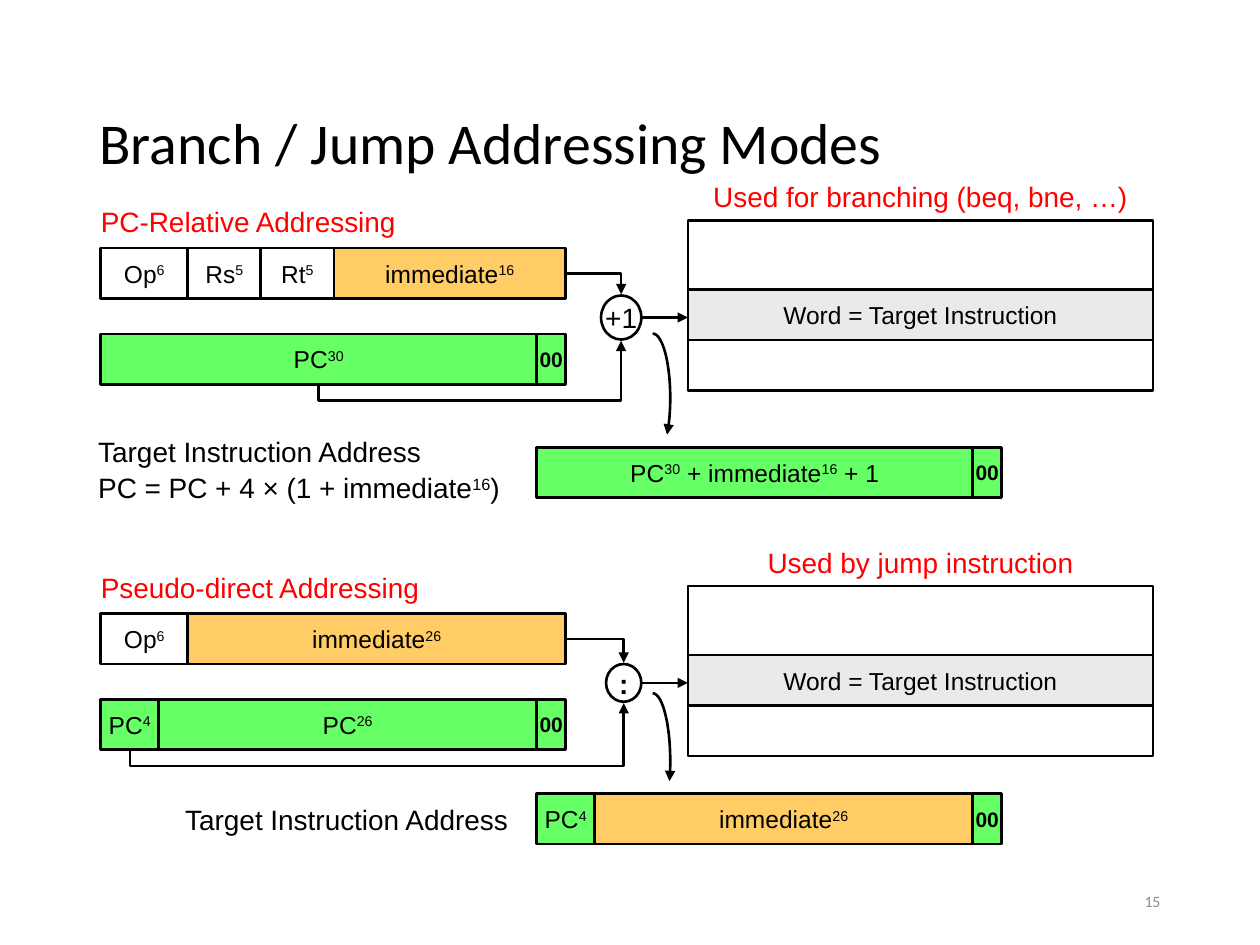
import math
from dataclasses import dataclass

from lxml import etree
from pptx import Presentation
from pptx.dml.color import RGBColor
from pptx.enum.shapes import MSO_CONNECTOR, MSO_SHAPE
from pptx.enum.text import MSO_ANCHOR, PP_ALIGN
from pptx.oxml.ns import qn
from pptx.util import Inches, Pt

RECT, OVAL = MSO_SHAPE.RECTANGLE, MSO_SHAPE.OVAL
STRAIGHT, ELBOW = MSO_CONNECTOR.STRAIGHT, MSO_CONNECTOR.ELBOW
LEFT, CENTER, RIGHT = PP_ALIGN.LEFT, PP_ALIGN.CENTER, PP_ALIGN.RIGHT
MIDDLE = MSO_ANCHOR.MIDDLE

BLACK = RGBColor(0, 0, 0)
WHITE = RGBColor(255, 255, 255)
RED = RGBColor(255, 0, 0)
GREY = RGBColor(0x8C, 0x8C, 0x8C)
PALE = RGBColor(0xEA, 0xEA, 0xEA)
GREEN = RGBColor(0x66, 0xFF, 0x66)
ORANGE = RGBColor(0xFF, 0xCC, 0x66)

BAR_X, TARGET_X, MEMORY_X = 0.8, 4.26, 5.46
BAR_W, BAR_H = 3.69, 0.4
BODY = dict(size=Pt(14), name="Arial", bold=False)
LABEL = dict(size=Pt(16), name="Arial", bold=False)
BITS = dict(size=Pt(12), name="Arial", bold=True)


@dataclass
class Field:
    text: str
    width: float
    fill: RGBColor
    font: dict


@dataclass
class Mode:
    top: float
    name: str
    use: str
    instruction: list[Field]
    counter: list[Field]
    target: list[Field]
    target_y: float
    operator: str
    operator_font: dict
    operator_x: float
    operator_size: tuple[float, float]
    source_x: float
    arc_ry: float
    arc_end: float


ZEROS = Field("00", 0.23, GREEN, BITS)
OP = Field("Op^6", 0.69, WHITE, BODY)
PC4 = Field("PC^4", 0.46, GREEN, BODY)
IMM26 = Field("immediate^26", 3, ORANGE, BODY)

MODES = [
    Mode(1.4, "PC-Relative Addressing", "Used for branching (beq, bne, …)",
         [OP, Field("Rs^5", 0.58, WHITE, BODY), Field("Rt^5", 0.58, WHITE, BODY),
          Field("immediate^16", 1.84, ORANGE, BODY)],
         [Field("PC^30", 3.46, GREEN, BODY), ZEROS],
         [Field("PC^30^ + immediate^16^ + 1", 3.46, GREEN, BODY), ZEROS],
         3.55, "+1", LABEL, 4.93, (0.32, 0.35), 2.53, 0.51, 35),
    Mode(4.3, "Pseudo-direct Addressing", "Used by jump instruction",
         [OP, IMM26],
         [PC4, Field("PC^26", 3, GREEN, BODY), ZEROS],
         [PC4, IMM26, ZEROS],
         6.3, ":", {**LABEL, "bold": True}, 4.95, (0.28, 0.3), 1.03, 0.54, 17),
]


def write(shape, lines: list[str], font: dict, color: RGBColor, align=LEFT) -> None:
    """Fill a shape with text; every second part between ^ marks is superscript."""
    tf = shape.text_frame
    for side in ("left", "right", "top", "bottom"):
        setattr(tf, f"margin_{side}", 0)
    tf.vertical_anchor = MIDDLE
    for i, line in enumerate(lines):
        p = tf.add_paragraph() if i else tf.paragraphs[0]
        p.alignment = align
        if i:
            p.space_before = Pt(1.6)
        for j, part in enumerate(line.split("^")):
            r = p.add_run()
            r.text = part
            for key, value in font.items():
                setattr(r.font, key, value)
            r.font.color.rgb = color
            if j % 2:
                r.font._element.set("baseline", "30000")


def add_label(s, x: float, y: float, w: float, h: float, lines: list[str],
              font=LABEL, color=BLACK, align=LEFT) -> None:
    box = s.shapes.add_textbox(*map(Inches, (x, y, w, h)))
    write(box, lines, font, color, align)
    box.text_frame.word_wrap = True


def add_box(s, kind, x: float, y: float, w: float, h: float, fill=None, text="", font=BODY) -> None:
    sp = s.shapes.add_shape(kind, *map(Inches, (x, y, w, h)))
    sp.shadow.inherit = False
    if fill is None:
        sp.fill.background()
    else:
        sp.fill.solid()
        sp.fill.fore_color.rgb = fill
    sp.line.color.rgb = BLACK
    sp.line.width = Pt(1.5)
    if text:
        write(sp, [text], font, BLACK, CENTER)
        sp.text_frame.word_wrap = False


def add_bar(s, x: float, y: float, fields: list[Field]) -> None:
    for f in fields:
        add_box(s, RECT, x, y, f.width, BAR_H, f.fill, f.text, f.font)
        x += f.width


def style_arrow(shape) -> None:
    shape.line.color.rgb = BLACK
    shape.line.width = Pt(1.5)
    ln = shape.line._get_or_add_ln()
    etree.SubElement(ln, qn("a:tailEnd"), type="triangle")


def add_arrow(s, kind, x1: float, y1: float, x2: float, y2: float):
    cxn = s.shapes.add_connector(kind, *map(Inches, (x1, y1, x2, y2)))
    style_arrow(cxn)
    etree.SubElement(cxn._element.spPr, qn("a:effectLst"))
    return cxn


def add_corner_arrow(s, x1: float, y1: float, x2: float, y2: float) -> None:
    """Arrow that runs right, then turns down."""
    cxn = add_arrow(s, ELBOW, x1, y1, x2, y2)
    cxn._element.spPr.find(qn("a:prstGeom")).set("prst", "bentConnector2")


def add_under_arrow(s, x1: float, y1: float, x2: float, y2: float, drop=0.13) -> None:
    """Arrow that drops below its start, runs right, then rises to its end."""
    cx, cy, w, h = (x1 + x2) / 2, (y1 + y2) / 2, y1 - y2, x2 - x1
    cxn = add_arrow(s, ELBOW, cx + w / 2, cy + h / 2, cx - w / 2, cy - h / 2)
    sp_pr = cxn._element.spPr
    sp_pr.find(qn("a:xfrm")).set("rot", "5400000")
    guides = sp_pr.find(qn("a:prstGeom")).get_or_add_avLst()
    etree.SubElement(guides, qn("a:gd"), name="adj1", fmla=f"val {round(-drop / w * 100000)}")


def add_arc_arrow(s, x: float, y: float, rx: float, ry: float, end: float) -> None:
    """Arrow along an ellipse from its top, clockwise to `end` degrees below its right."""
    steps = 24
    angles = [math.radians(-90 + (end + 90) * i / steps) for i in range(steps + 1)]
    points = [(Inches(x + rx * math.cos(a)), Inches(y + ry + ry * math.sin(a))) for a in angles]
    builder = s.shapes.build_freeform(*points[0])
    builder.add_line_segments(points[1:], close=False)
    sp = builder.convert_to_shape()
    sp.shadow.inherit = False
    sp.fill.background()
    style_arrow(sp)


def draw_mode(s, m: Mode) -> None:
    top, mid, pc_y = m.top, m.top + 1.12, m.top + 1.25
    x, (w, h) = m.operator_x, m.operator_size
    add_label(s, MEMORY_X, top, BAR_W, 0.32, [m.use], color=RED, align=CENTER)
    add_box(s, RECT, MEMORY_X, top + 0.9, BAR_W, BAR_H, PALE, "Word = Target Instruction")
    add_box(s, RECT, MEMORY_X, top + 0.35, BAR_W, 1.35)
    add_label(s, BAR_X, top + 0.2, BAR_W, 0.32, [m.name], color=RED)
    add_bar(s, BAR_X, top + 0.57, m.instruction)
    add_bar(s, BAR_X, pc_y, m.counter)
    add_box(s, OVAL, x - w / 2, mid - h / 2, w, h, WHITE, m.operator, m.operator_font)
    add_under_arrow(s, m.source_x, pc_y + BAR_H, x, mid + h / 2 + 0.01)
    add_corner_arrow(s, BAR_X + BAR_W, top + 0.77, x, mid - h / 2 - 0.01)
    add_arrow(s, STRAIGHT, x + w / 2, mid, MEMORY_X, mid)
    add_arc_arrow(s, 5.18, m.target_y - 0.1 - m.arc_ry * (1 + math.sin(math.radians(m.arc_end))),
                  0.14, m.arc_ry, m.arc_end)
    add_bar(s, TARGET_X, m.target_y, m.target)


def main() -> None:
    prs = Presentation()
    prs.slide_width, prs.slide_height = Inches(10), Inches(7.5)
    s = prs.slides.add_slide(prs.slide_layouts[5])
    title = s.shapes.title
    title.left, title.top, title.width, title.height = map(Inches, (0.79, 0.4, 8.42, 1.45))
    write(title, ["Branch / Jump Addressing Modes"], dict(size=Pt(33), name="Calibri"), BLACK)
    for mode in MODES:
        draw_mode(s, mode)
    add_label(s, 0.78, 3.45, 3.44, 0.55,
              ["Target Instruction Address", "PC = PC + 4 × (1 + immediate^16^)"])
    add_label(s, 1.47, 6.3, 2.74, 0.4, ["Target Instruction Address"])
    add_label(s, 7.06, 6.95, 2.15, 0.4, ["15"], dict(size=Pt(9), name="Calibri"), GREY, RIGHT)
    prs.save("out.pptx")


if __name__ == "__main__":
    main()
